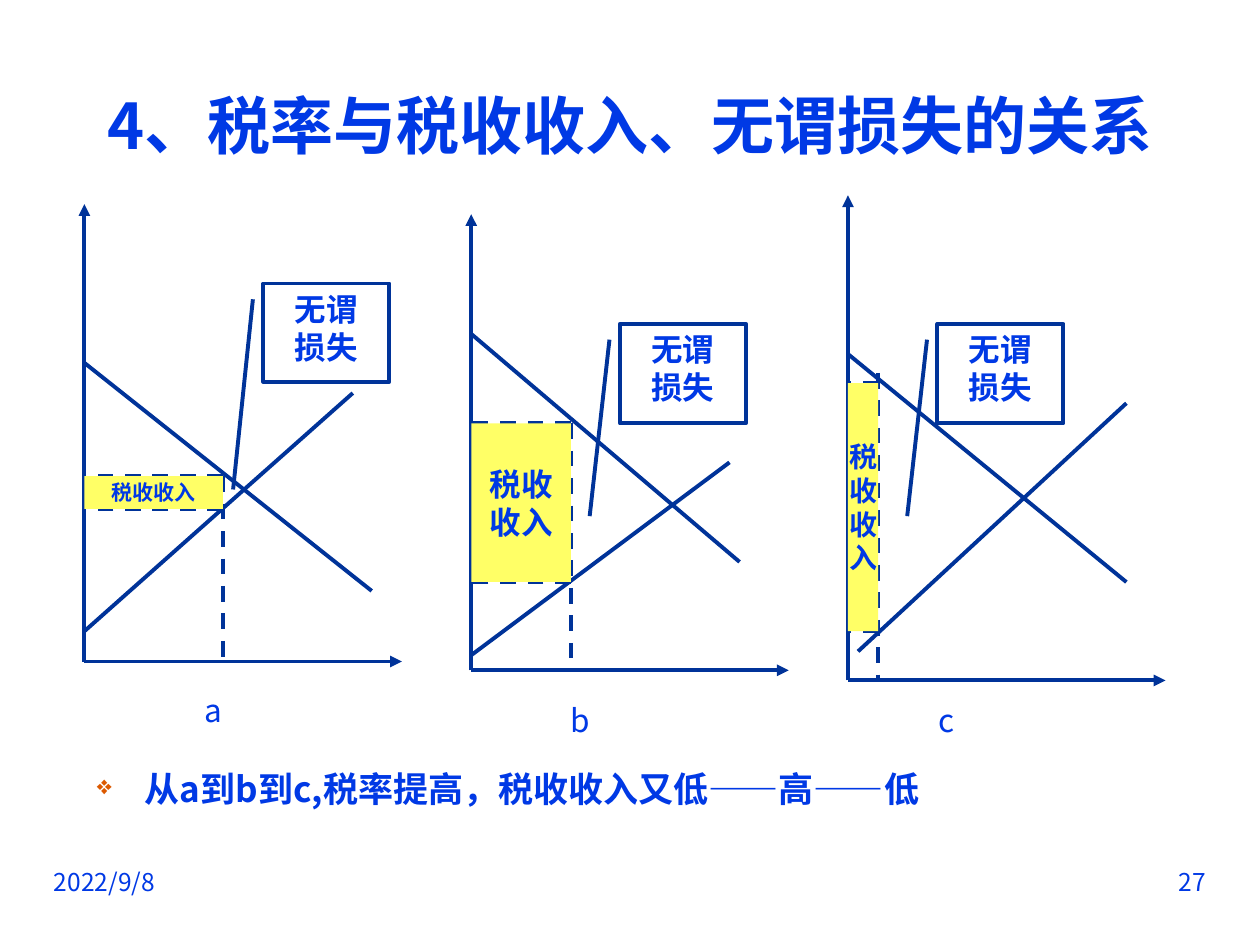
from dataclasses import dataclass

from lxml.etree import SubElement
from pptx import Presentation
from pptx.dml.color import RGBColor
from pptx.enum.dml import MSO_LINE
from pptx.enum.shapes import MSO_CONNECTOR, MSO_SHAPE
from pptx.enum.text import MSO_ANCHOR as ANCHOR, PP_ALIGN as ALIGN
from pptx.oxml.ns import qn
from pptx.util import Inches, Pt

BLUE = RGBColor(0x00, 0x39, 0xE5)
NAVY = RGBColor(0x00, 0x33, 0x99)
YELLOW = RGBColor(0xFF, 0xFF, 0x66)
FONT = "Noto Sans CJK SC"
LINE_WIDTH = Pt(2.25)
AXIS_LENGTH = 2.52


@dataclass
class Panel:
    label: str
    label_at: tuple
    origin: tuple
    axis_top: float
    demand: tuple      # x1, y1, x2, y2
    supply: tuple
    revenue: tuple     # right, top, bottom of the tax revenue box
    guide_top: float   # upper end of the quantity line
    words: str
    size: int
    callout: tuple     # left, top, height
    pointer: tuple     # callout adjustments


PANELS = [
    Panel("a", (1.38, 5.4), (0.67, 5.25), 1.62,
          (0.67, 2.88, 2.95, 4.69), (0.67, 5.01, 2.8, 3.12),
          (1.77, 3.78, 4.04), 3.78, "税收收入", 12,
          (2.09, 2.25, 0.78), (0.161, -0.083, 2.096, -0.24)),
    Panel("b", (4.29, 5.48), (3.74, 5.32), 1.7,
          (3.74, 2.65, 5.87, 4.46), (3.74, 5.2, 5.79, 3.67),
          (4.53, 3.36, 4.62), 3.36, "税收\n收入", 18,
          (4.92, 2.57, 0.79), (0.159, -0.083, 1.932, -0.24)),
    Panel("c", (7.2, 5.48), (6.73, 5.4), 1.55,
          (6.73, 2.81, 8.94, 4.62), (6.81, 5.17, 8.94, 3.2),
          (6.97, 3.04, 5.01), 2.96, "税\n收\n收\n入", 16,
          (7.44, 2.57, 0.79), (0.159, -0.083, 1.932, -0.24)),
]


def write(sp, text, size, bold=False, align=ALIGN.CENTER,
          anchor=ANCHOR.TOP, wrap=True):
    tf = sp.text_frame
    tf.text = text
    tf.word_wrap = wrap
    tf.vertical_anchor = anchor
    for p in tf.paragraphs:
        p.alignment = align
        for r in p.runs:
            r.font.size = Pt(size)
            r.font.bold = bold
            r.font.name = FONT
            r.font.color.rgb = BLUE
            SubElement(r.font._element, qn("a:ea"), typeface=FONT)


def add_text(slide, box, text, size, **style):
    sp = slide.shapes.add_textbox(*map(Inches, box))
    write(sp, text, size, **style)
    return sp


def add_line(slide, x1, y1, x2, y2, arrow=False, dashed=False):
    line = slide.shapes.add_connector(
        MSO_CONNECTOR.STRAIGHT, *map(Inches, (x1, y1, x2, y2)))
    line.line.color.rgb = NAVY
    line.line.width = LINE_WIDTH
    if dashed:
        line.line.dash_style = MSO_LINE.DASH
    if arrow:
        SubElement(line.line._get_or_add_ln(), qn("a:tailEnd"), type="triangle")
    SubElement(line._element.spPr, qn("a:effectLst"))


def add_curves(slide, panel):
    x, y = panel.origin
    add_line(slide, x, y, x + AXIS_LENGTH, y, arrow=True)
    add_line(slide, x, y, x, panel.axis_top, arrow=True)
    add_line(slide, *panel.demand)
    add_line(slide, *panel.supply)


def add_revenue(slide, panel):
    x, y = panel.origin
    right, top, bottom = panel.revenue
    add_line(slide, right, panel.guide_top, right, y, dashed=True)
    for level in (bottom, top):
        add_line(slide, right, level, x, level, dashed=True)
    sp = slide.shapes.add_shape(
        MSO_SHAPE.RECTANGLE, *map(Inches, (x, top, right - x, bottom - top)))
    sp.shadow.inherit = False
    sp.fill.solid()
    sp.fill.fore_color.rgb = YELLOW
    sp.line.fill.background()
    write(sp, panel.words, panel.size, bold=True, anchor=ANCHOR.MIDDLE, wrap=False)


def add_callout(slide, panel):
    left, top, height = panel.callout
    sp = slide.shapes.add_shape(
        MSO_SHAPE.LINE_CALLOUT_1, *map(Inches, (left, top, 1, height)))
    for i, value in enumerate(panel.pointer):
        sp.adjustments[i] = value
    sp.shadow.inherit = False
    sp.fill.background()
    sp.line.color.rgb = NAVY
    sp.line.width = LINE_WIDTH
    write(sp, "无谓\n损失", 18, bold=True)


def add_title(slide, text):
    title = slide.shapes.title
    title.left, title.top, title.width, title.height = map(
        Inches, (0.33, 0.67, 9.34, 0.64))
    write(title, text, 36, bold=True, anchor=ANCHOR.MIDDLE)


def add_bullet(slide, text):
    sp = add_text(slide, (0.67, 6.11, 8.11, 0.47), text, 20,
                  bold=True, align=ALIGN.LEFT)
    p = sp.text_frame.paragraphs[0]
    p.line_spacing = 0.8
    p.space_before = Pt(4)
    pPr = p._p.get_or_add_pPr()
    pPr.set("marL", str(Inches(0.38)))
    pPr.set("indent", str(-Inches(0.38)))
    SubElement(SubElement(pPr, qn("a:buClr")), qn("a:srgbClr"), val="DC5900")
    SubElement(pPr, qn("a:buSzPct"), val="75000")
    SubElement(pPr, qn("a:buChar"), char="❖")


def main():
    prs = Presentation()
    prs.slide_width, prs.slide_height = Inches(10), Inches(7.5)
    slide = prs.slides.add_slide(prs.slide_layouts[5])

    # Date and slide number
    add_text(slide, (0.33, 6.83, 2.5, 0.52), "2022/9/8", 14, align=ALIGN.LEFT)
    add_text(slide, (7.17, 6.83, 2.5, 0.52), "27", 14, align=ALIGN.RIGHT)

    # Title and conclusion
    add_title(slide, "4、税率与税收收入、无谓损失的关系")
    add_bullet(slide, "从a到b到c,税率提高，税收收入又低——高——低")

    # Three supply and demand diagrams
    for panel in PANELS:
        add_curves(slide, panel)
        add_revenue(slide, panel)
        add_callout(slide, panel)
        add_text(slide, (*panel.label_at, 0.63, 0.47), panel.label, 18,
                 anchor=ANCHOR.MIDDLE, wrap=False)

    prs.save("out.pptx")


if __name__ == "__main__":
    main()
